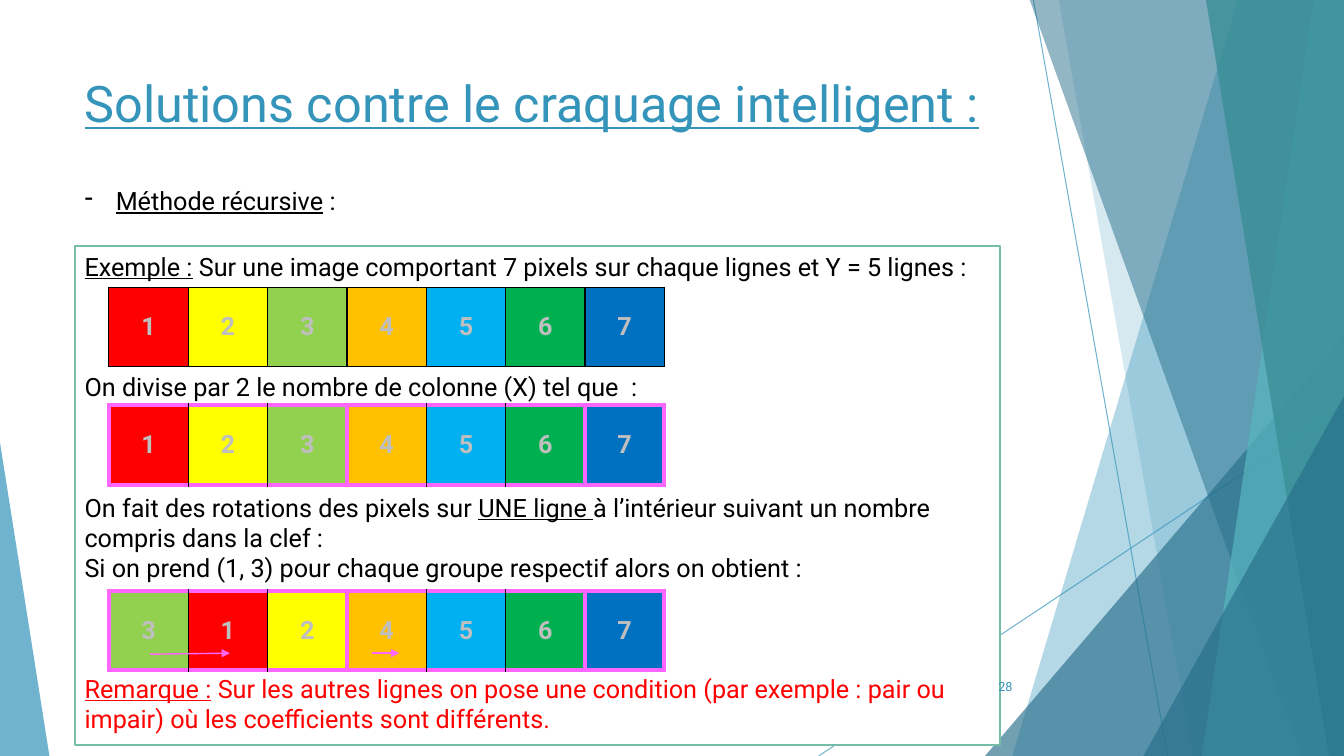
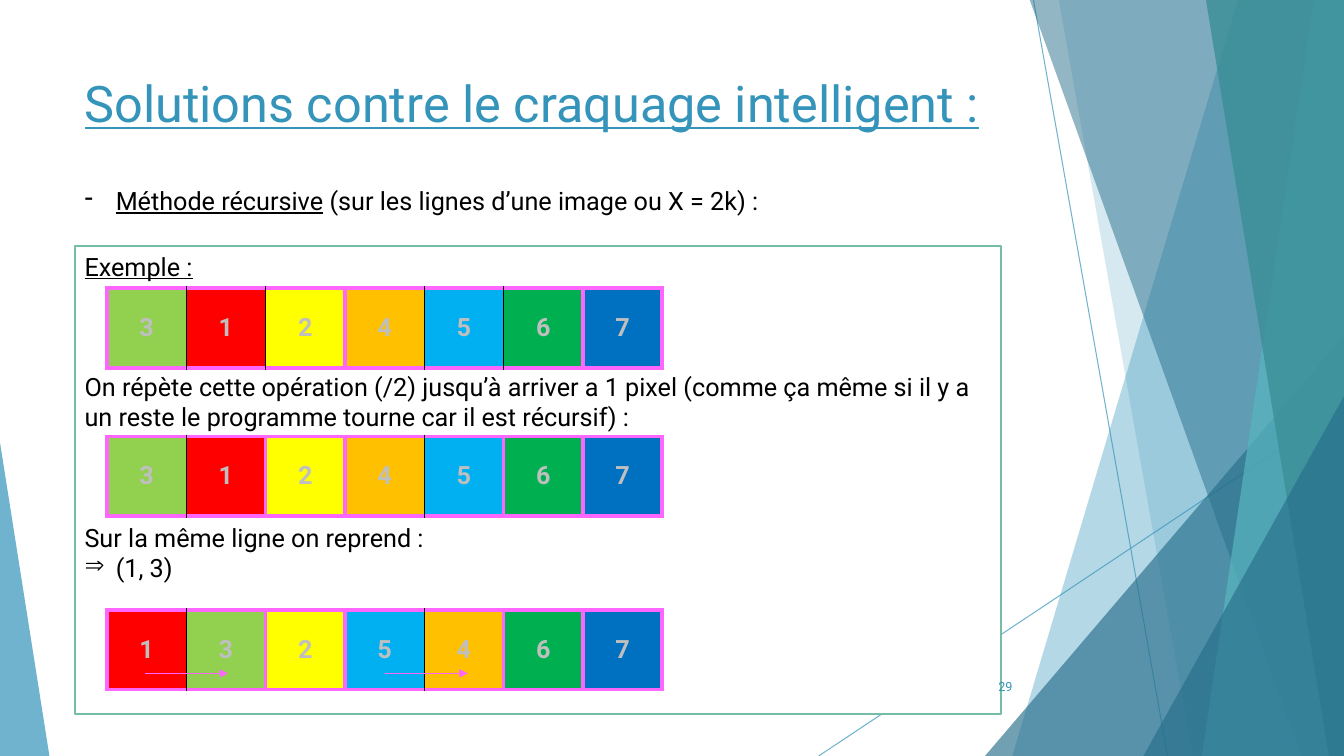
"""Build two slides on recursive pixel rotation against intelligent cracking."""
from dataclasses import dataclass
from itertools import accumulate
from typing import Any, NamedTuple

from lxml.etree import SubElement
from pptx import Presentation
from pptx.dml.color import RGBColor
from pptx.enum.shapes import MSO_CONNECTOR, MSO_SHAPE
from pptx.enum.text import MSO_ANCHOR, PP_ALIGN
from pptx.oxml.ns import qn
from pptx.util import Emu, Pt

PX = 9144
SLIDE_W, SLIDE_H = 1333, 750


@dataclass(frozen=True)
class Theme:
    font: str = "Roboto"
    title_size: int = 36
    body_size: int = 18
    number_size: int = 9
    accent: str = "3494BA"
    deep: str = "276F8B"
    aqua: str = "58B6C0"
    teal: str = "3A8F98"
    frame: str = "75BDA7"
    white: str = "FFFFFF"
    black: str = "000000"
    red: str = "FF0000"
    digit: str = "BFBFBF"
    pink: str = "FF66FF"


T = Theme()
PIXEL_COLOURS = dict(zip(
    "1234567", ("FF0000", "FFFF00", "92D050", "FFC000", "00B0F0", "00B050", "0070C0")))


class Box(NamedTuple):
    left: int
    top: int
    width: int
    height: int


class Facet(NamedTuple):
    points: tuple[tuple[int, int], ...]
    colour: str
    opacity: int


class Corner(NamedTuple):
    box: Box
    apex: int
    colour: str
    opacity: int


class Line(NamedTuple):
    x1: int
    y1: int
    x2: int
    y2: int


class Run(NamedTuple):
    text: str
    underline: bool = False
    colour: str = T.black
    size: int = T.body_size
    bold: bool = False


@dataclass(frozen=True)
class Para:
    runs: tuple[Run, ...]
    before: float = 0
    bullet: str = ""
    align: Any = PP_ALIGN.LEFT


@dataclass(frozen=True)
class Strip:
    left: int
    top: int
    digits: str
    groups: tuple[int, ...] = ()


@dataclass(frozen=True)
class Page:
    number: int
    method: str
    frame: Box
    paras: tuple[Para, ...]
    strips: tuple[Strip, ...]
    arrows: tuple[Line, ...]


def right_facet(top_x: int, bottom_x: int, colour: str, opacity: int) -> Facet:
    return Facet(((top_x, -1), (SLIDE_W, -1), (SLIDE_W, SLIDE_H), (bottom_x, SLIDE_H)),
                 colour, opacity)


RAYS = (Line(1025, 0, 1158, 750), Line(1333, 403, 812, 750))
DECOR = (
    right_facet(1228, 1004, T.accent, 36),
    right_facet(1050, 1183, T.accent, 20),
    Corner(Box(977, 333, 356, 417), 1, T.deep, 66),
    right_facet(1021, 1291, T.deep, 50),
    right_facet(1303, 1192, T.aqua, 70),
    right_facet(1196, 1318, T.teal, 80),
    Corner(Box(1134, 393, 199, 357), 1, T.deep, 66),
    Corner(Box(0, 439, 49, 311), 0, T.accent, 70),
)
TITLE = "Solutions contre le craquage intelligent :"
TITLE_BOX = Box(74, 67, 940, 144)
METHOD_BOX = Box(74, 179, 703, 40)
NUMBER_BOX = Box(939, 661, 75, 40)
STRIP_W, STRIP_H = 551, 79
STRIP_GAP = 64.5
BULLET_INDENT = 31
HALVES = (3, 3, 1)
QUARTERS = (2, 1, 2, 1, 1)

PAGES = (
    Page(
        28, " :", Box(74, 244, 918, 495),
        (
            Para((Run("Exemple :", True),
                  Run(" Sur une image comportant 7 pixels sur chaque lignes et Y = 5 lignes :"))),
            Para((Run("On divise par 2 le nombre de colonne (X) tel que  :"),), STRIP_GAP),
            Para((Run("On fait des rotations des pixels sur "), Run("UNE ligne ", True),
                  Run("à l’intérieur suivant un nombre compris dans la clef :")), STRIP_GAP),
            Para((Run("Si on prend (1, 3) pour chaque groupe respectif alors on obtient :"),)),
            Para((Run("Remarque :", True, T.red),
                  Run(" Sur les autres lignes on pose une condition (par exemple : pair ou "
                      "impair) où les coefficients sont différents.", colour=T.red)), STRIP_GAP),
        ),
        (Strip(108, 285, "1234567"), Strip(108, 402, "1234567", HALVES),
         Strip(108, 586, "3124567", HALVES)),
        (Line(149, 649, 228, 648), Line(369, 648, 396, 648)),
    ),
    Page(
        29, " (sur les lignes d’une image ou X = 2k) :", Box(74, 244, 919, 464),
        (
            Para((Run("Exemple :", True),)),
            Para((Run("On répète cette opération (/2) jusqu’à arriver a 1 pixel (comme ça même "
                      "si il y a un reste le programme tourne car il est récursif) :"),), STRIP_GAP),
            Para((Run("Sur la même ligne on reprend :"),), STRIP_GAP),
            Para((Run("(1, 3)"),), bullet="⇒"),
        ),
        (Strip(106, 286, "3124567", HALVES), Strip(106, 433, "3124567", QUARTERS),
         Strip(106, 605, "1325467", QUARTERS)),
        (Line(144, 668, 226, 668), Line(382, 668, 464, 668)),
    ),
)


def emu(*lengths: int) -> list[Emu]:
    return [Emu(n * PX) for n in lengths]


def apply(target: Any, values: dict[str, Any]) -> None:
    for name, value in values.items():
        setattr(target, name, value)


def paint(fill: Any, colour: str) -> None:
    fill.solid()
    fill.fore_color.rgb = RGBColor.from_string(colour)


def fade(sp: Any, opacity: int) -> None:
    for clr in sp._element.spPr.iter(qn("a:srgbClr")):
        SubElement(clr, qn("a:alpha")).set("val", str(opacity * 1000))


def write(tf: Any, paras: tuple[Para, ...]) -> None:
    for i, para in enumerate(paras):
        p = tf.paragraphs[0] if i == 0 else tf.add_paragraph()
        p.alignment = para.align
        if para.before:
            p.space_before = Pt(para.before)
        if para.bullet:
            pPr = p._p.get_or_add_pPr()
            pPr.set("marL", str(BULLET_INDENT * PX))
            pPr.set("indent", str(-BULLET_INDENT * PX))
            SubElement(pPr, qn("a:buChar")).set("char", para.bullet)
        for run in para.runs:
            r = p.add_run()
            r.text = run.text
            apply(r.font, {"name": T.font, "size": Pt(run.size),
                           "underline": run.underline, "bold": run.bold})
            r.font.color.rgb = RGBColor.from_string(run.colour)


def add_text(s: Any, box: Box, paras: tuple[Para, ...], anchor: Any = MSO_ANCHOR.TOP) -> None:
    tf = s.shapes.add_textbox(*emu(*box)).text_frame
    apply(tf, {"word_wrap": True, "vertical_anchor": anchor})
    write(tf, paras)


def add_panel(s: Any, box: Box, outline: str, paras: tuple[Para, ...]) -> None:
    sp = s.shapes.add_shape(MSO_SHAPE.RECTANGLE, *emu(*box))
    sp.shadow.inherit = False
    paint(sp.fill, T.white)
    paint(sp.line.fill, outline)
    sp.line.width = Pt(1.5)
    apply(sp.text_frame, {"word_wrap": True, "vertical_anchor": MSO_ANCHOR.TOP})
    write(sp.text_frame, paras)


def add_line(s: Any, line: Line, colour: str, width: float) -> Any:
    cn = s.shapes.add_connector(MSO_CONNECTOR.STRAIGHT, *emu(*line))
    paint(cn.line.fill, colour)
    cn.line.width = Pt(width)
    SubElement(cn._element.spPr, qn("a:effectLst"))
    return cn


def add_arrow(s: Any, line: Line) -> None:
    cn = add_line(s, line, T.pink, 1)
    SubElement(cn._element.spPr.find(qn("a:ln")), qn("a:tailEnd")).set("type", "triangle")


def add_decor(s: Any) -> None:
    for ray in RAYS:
        fade(add_line(s, ray, T.accent, 0.75), 70)
    for item in DECOR:
        if isinstance(item, Facet):
            fb = s.shapes.build_freeform(*item.points[0], scale=float(PX))
            fb.add_line_segments(item.points[1:], close=True)
            sp = fb.convert_to_shape()
        else:
            sp = s.shapes.add_shape(MSO_SHAPE.ISOSCELES_TRIANGLE, *emu(*item.box))
            sp.adjustments[0] = item.apex
        sp.shadow.inherit = False
        paint(sp.fill, item.colour)
        sp.line.fill.background()
        fade(sp, item.opacity)


def add_border(cell: Any, side: str, framed: bool) -> None:
    ln = SubElement(cell._tc.get_or_add_tcPr(), qn(f"a:ln{side}"))
    ln.set("w", str(Pt(3 if framed else 1)))
    fill = SubElement(ln, qn("a:solidFill"))
    SubElement(fill, qn("a:srgbClr")).set("val", T.pink if framed else T.black)


def add_strip(s: Any, strip: Strip) -> None:
    count = len(strip.digits)
    box = Box(strip.left, strip.top, STRIP_W, STRIP_H)
    table = s.shapes.add_table(1, count, *emu(*box)).table
    apply(table, {"first_row": False, "horz_banding": False})
    edges = {0, *accumulate(strip.groups)} if strip.groups else set()
    for i, digit in enumerate(strip.digits):
        table.columns[i].width = Emu(STRIP_W * PX // count)
        cell = table.cell(0, i)
        framed = {"L": i in edges, "R": i + 1 in edges, "T": bool(edges), "B": bool(edges)}
        for side, is_framed in framed.items():
            add_border(cell, side, is_framed)
        paint(cell.fill, PIXEL_COLOURS[digit])
        cell.vertical_anchor = MSO_ANCHOR.MIDDLE
        run = Run(digit, colour=T.digit, bold=True)
        write(cell.text_frame, (Para((run,), align=PP_ALIGN.CENTER),))


def add_page(prs: Any, page: Page) -> None:
    s = prs.slides.add_slide(prs.slide_layouts[6])
    add_decor(s)
    add_text(s, TITLE_BOX, (Para((Run(TITLE, True, T.accent, T.title_size),)),))
    method = (Run("Méthode récursive", True), Run(page.method))
    add_panel(s, METHOD_BOX, T.white, (Para(method, bullet="-"),))
    add_panel(s, page.frame, T.frame, page.paras)
    for strip in page.strips:
        add_strip(s, strip)
    for arrow in page.arrows:
        add_arrow(s, arrow)
    number = Run(str(page.number), colour=T.accent, size=T.number_size)
    add_text(s, NUMBER_BOX, (Para((number,), align=PP_ALIGN.RIGHT),), MSO_ANCHOR.MIDDLE)


def main() -> None:
    prs = Presentation()
    prs.slide_width, prs.slide_height = emu(SLIDE_W, SLIDE_H)
    for page in PAGES:
        add_page(prs, page)
    prs.save("out.pptx")


if __name__ == "__main__":
    main()
